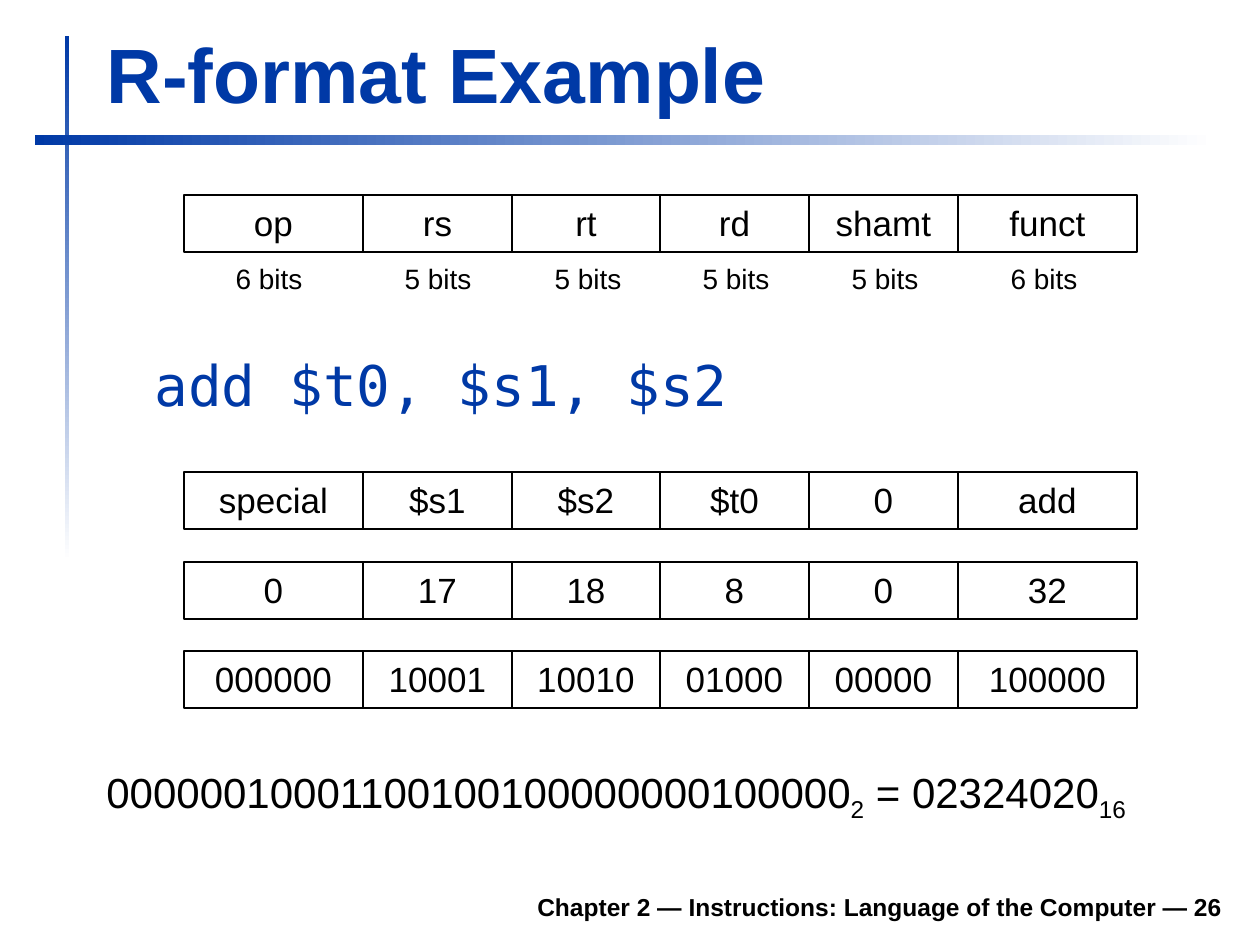
from itertools import pairwise

from pptx import Presentation
from pptx.dml.color import RGBColor
from pptx.enum.shapes import MSO_SHAPE as Shape
from pptx.enum.text import MSO_ANCHOR as Anchor, MSO_AUTO_SIZE as AutoSize, PP_ALIGN as Align
from pptx.util import Pt

EMU_PER_PX = 914400 / 126
BLUE, BLACK, WHITE = "0039A6", "000000", "FFFFFF"
COLUMN_EDGES = (184, 363, 512, 660, 809, 958, 1137)
CELL_HEIGHT = 57
FIELD_ROWS = {
    195: ("op", "rs", "rt", "rd", "shamt", "funct"),
    472: ("special", "$s1", "$s2", "$t0", "0", "add"),
    562: ("0", "17", "18", "8", "0", "32"),
    651: ("000000", "10001", "10010", "01000", "00000", "100000"),
}
BIT_LABELS = ((223, 6), (392, 5), (542, 5), (690, 5), (839, 5), (998, 6))


def px(length):
    return round(length * EMU_PER_PX)


def box(*lengths):
    return [px(length) for length in lengths]


def color(value):
    return RGBColor.from_string(value)


def write(shape, text, *, size, font="Arial", fill=BLACK, bold=False, align=Align.LEFT,
          anchor=Anchor.TOP, wrap=True, grow=False, indent=0):
    """Fill a shape with one paragraph; text is a string or (string, baseline) pairs."""
    frame = shape.text_frame
    frame.word_wrap = wrap
    frame.auto_size = AutoSize.SHAPE_TO_FIT_TEXT if grow else AutoSize.NONE
    frame.vertical_anchor = anchor
    paragraph = frame.paragraphs[0]
    paragraph.alignment = align
    if indent:
        paragraph._p.get_or_add_pPr().set("marL", str(px(indent)))
    for content, baseline in [(text, 0)] if isinstance(text, str) else text:
        run = paragraph.add_run()
        run.text = content
        run.font.name, run.font.size, run.font.bold = font, Pt(size), bold
        run.font.color.rgb = color(fill)
        if baseline:
            run.font._element.set("baseline", str(baseline * 1000))


def add_text(slide, bounds, text, **style):
    write(slide.shapes.add_textbox(*box(*bounds)), text, **style)


def add_rectangle(slide, bounds):
    shape = slide.shapes.add_shape(Shape.RECTANGLE, *box(*bounds))
    shape.shadow.inherit = False
    return shape


def add_fading_bar(slide, bounds, angle):
    bar = add_rectangle(slide, bounds)
    bar.line.fill.background()
    bar.fill.gradient()
    bar.fill.gradient_angle = angle
    for stop, value in zip(bar.fill.gradient_stops, (BLUE, WHITE)):
        stop.color.rgb = color(value)


def add_field_row(slide, top, values):
    for (left, right), value in zip(pairwise(COLUMN_EDGES), values):
        cell = add_rectangle(slide, (left, top, right - left, CELL_HEIGHT))
        cell.fill.background()
        cell.line.color.rgb = color(BLACK)
        cell.line.width = Pt(1.5)
        write(cell, value, size=20, align=Align.CENTER, grow=True)


def add_title(slide, bounds, text):
    title = slide.shapes.title
    title.left, title.top, title.width, title.height = box(*bounds)
    write(title, text, size=44, fill=BLUE, bold=True, anchor=Anchor.BOTTOM, grow=True)


def main():
    presentation = Presentation()
    presentation.slide_width, presentation.slide_height = box(1260, 945)
    slide = presentation.slides.add_slide(presentation.slide_layouts[5])

    add_fading_bar(slide, (65, 36, 4, 525), 270)
    add_fading_bar(slide, (35, 135, 1180, 10), 0)
    add_title(slide, (94, 20, 1138, 105), "R-format Example")
    add_text(slide, (233, 879, 1002, 49),
             "Chapter 2 — Instructions: Language of the Computer — 26",
             size=14, bold=True, align=Align.RIGHT, anchor=Anchor.BOTTOM)

    for top, values in FIELD_ROWS.items():
        add_field_row(slide, top, values)
    for left, bits in BIT_LABELS:
        add_text(slide, (left, 255, 92, 47), f"{bits} bits",
                 size=16, align=Align.CENTER, wrap=False, grow=True)

    add_text(slide, (94, 344, 1140, 89), "add $t0, $s1, $s2",
             size=32, font="DejaVu Sans Mono", fill=BLUE, indent=48)
    add_text(slide, (94, 760, 1121, 69),
             [("00000010001100100100000000100000", 0), ("2", -25),
              (" = 02324020", 0), ("16", -25)], size=24)

    presentation.save("out.pptx")


if __name__ == "__main__":
    main()
